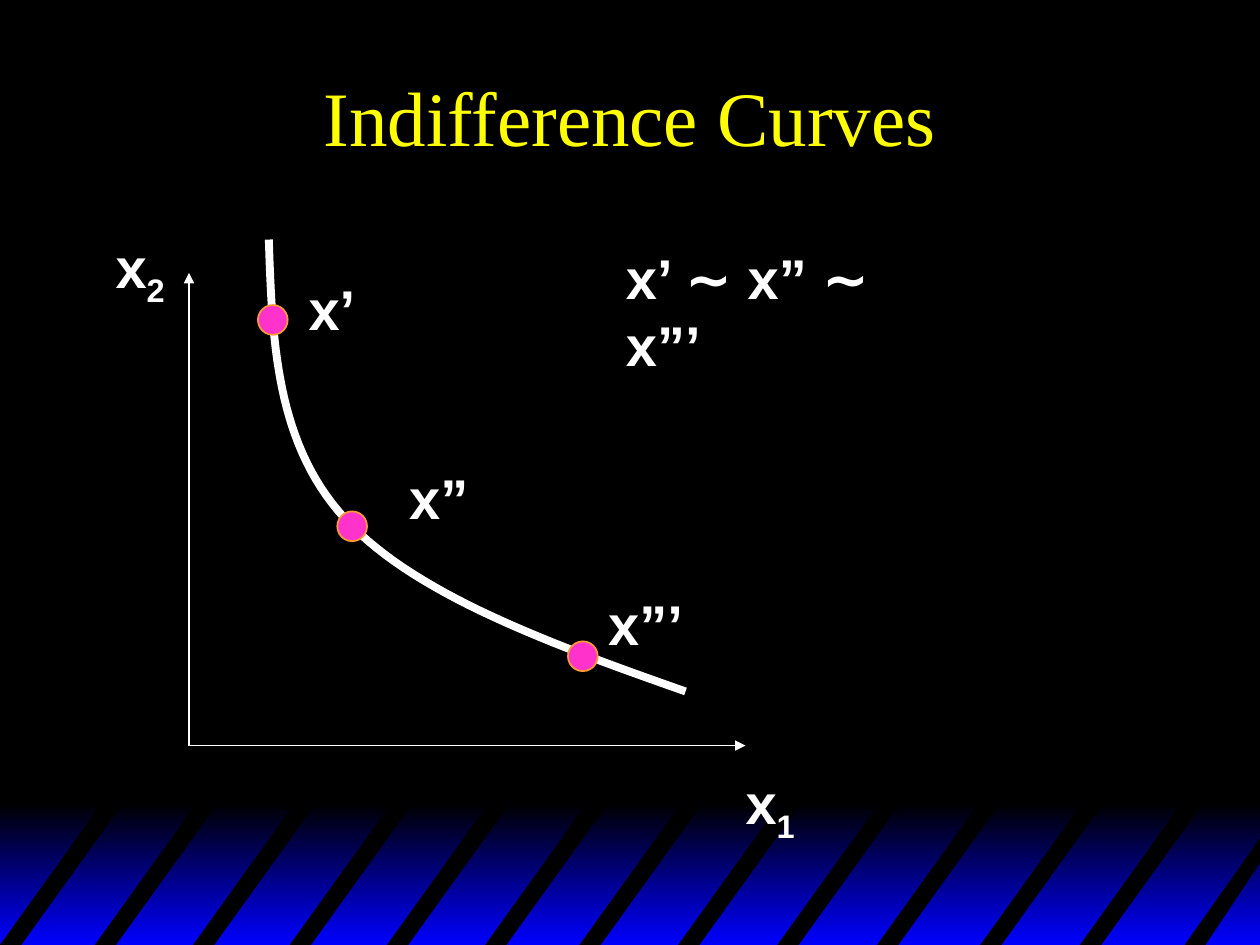
from pptx import Presentation
from pptx.dml.color import RGBColor
from pptx.enum.shapes import MSO_CONNECTOR, MSO_SHAPE
from pptx.enum.text import MSO_ANCHOR, PP_ALIGN
from pptx.oxml.ns import qn
from pptx.util import Cm, Pt
from lxml import etree

STRAIGHT = MSO_CONNECTOR.STRAIGHT
RECTANGLE, OVAL = MSO_SHAPE.RECTANGLE, MSO_SHAPE.OVAL
MIDDLE, TOP = MSO_ANCHOR.MIDDLE, MSO_ANCHOR.TOP
CENTER, LEFT = PP_ALIGN.CENTER, PP_ALIGN.LEFT

COLORS = {
    "black": "000000",
    "blue": "0000FF",
    "white": "FFFFFF",
    "title": "FFFF00",
    "dot": "FF33CC",
    "dot_edge": "FF9933",
}
WIDTH, HEIGHT = 25.4, 19.05


def color(name):
    return RGBColor.from_string(COLORS[name])


def bezier(start, control_1, control_2, end, steps=30):
    """Points along a cubic curve, without its start."""
    points = []
    for step in range(1, steps + 1):
        t = step / steps
        weights = ((1 - t) ** 3, 3 * t * (1 - t) ** 2, 3 * t * t * (1 - t), t ** 3)
        corners = (start, control_1, control_2, end)
        points.append(tuple(sum(w * c[axis] for w, c in zip(weights, corners))
                            for axis in (0, 1)))
    return points


class Diagram:
    """Draws on one slide; all lengths are in centimetres."""

    def __init__(self, slide):
        self.slide = slide
        self.shapes = slide.shapes
        slide.background.fill.solid()
        slide.background.fill.fore_color.rgb = color("black")

    def gradient_band(self, left, top, width, height, colors):
        shape = self.shapes.add_shape(RECTANGLE, Cm(left), Cm(top), Cm(width), Cm(height))
        shape.shadow.inherit = False
        shape.line.fill.background()
        shape.fill.gradient()
        shape.fill.gradient_angle = 270
        for stop, name in zip(shape.fill.gradient_stops, colors):
            stop.color.rgb = color(name)

    def outline(self, points, closed):
        points = [(Cm(x), Cm(y)) for x, y in points]
        builder = self.shapes.build_freeform(*points[0])
        builder.add_line_segments(points[1:], close=closed)
        shape = builder.convert_to_shape()
        shape.shadow.inherit = False
        return shape

    def stripe(self, points):
        shape = self.outline(points, True)
        shape.fill.solid()
        shape.fill.fore_color.rgb = color("black")
        shape.line.fill.background()

    def curve(self, points):
        shape = self.outline(points, False)
        shape.fill.background()
        shape.line.color.rgb = color("white")
        shape.line.width = Pt(4.5)

    def arrow(self, start, end):
        connector = self.shapes.add_connector(
            STRAIGHT, Cm(start[0]), Cm(start[1]), Cm(end[0]), Cm(end[1]))
        connector.line.color.rgb = color("white")
        connector.line.width = Pt(1)
        etree.SubElement(connector.line._get_or_add_ln(), qn("a:tailEnd"), type="triangle")
        etree.SubElement(connector._element.spPr, qn("a:effectLst"))

    def dot(self, center_x, center_y, size=0.6):
        shape = self.shapes.add_shape(
            OVAL, Cm(center_x - size / 2), Cm(center_y - size / 2), Cm(size), Cm(size))
        shape.shadow.inherit = False
        shape.fill.solid()
        shape.fill.fore_color.rgb = color("dot")
        shape.line.color.rgb = color("dot_edge")
        shape.line.width = Pt(1)

    def text(self, left, top, width, height, words, subscript="", wrap=False, size=32,
             font="Arial", bold=True, fill="white", align=LEFT, anchor=TOP):
        box = self.shapes.add_textbox(Cm(left), Cm(top), Cm(width), Cm(height))
        frame = box.text_frame
        frame.word_wrap = wrap
        frame.vertical_anchor = anchor
        paragraph = frame.paragraphs[0]
        paragraph.alignment = align
        paragraph.font.name = font
        paragraph.font.size = Pt(size)
        paragraph.font.bold = bold
        paragraph.font.color.rgb = color(fill)
        paragraph.add_run().text = words
        if subscript:
            run = paragraph.add_run()
            run.text = subscript
            run._r.get_or_add_rPr().set("baseline", "-25000")


def main():
    presentation = Presentation()
    presentation.slide_width, presentation.slide_height = Cm(WIDTH), Cm(HEIGHT)
    diagram = Diagram(presentation.slides.add_slide(presentation.slide_layouts[6]))

    # Striped footer band; the last stripe is cut by the slide edge
    band_top, slant, thickness = 16.1, 2.12, 0.43
    diagram.gradient_band(0, 16.2, WIDTH, HEIGHT - 16.2, ("black", "blue"))
    for left in (0, 1.91, 3.89, 5.84, 7.8, 9.78, 11.68, 13.67, 15.67, 17.68, 19.76, 21.77):
        diagram.stripe([(left, HEIGHT), (left + slant, band_top),
                        (left + slant + thickness, band_top), (left + thickness, HEIGHT)])
    diagram.stripe([(23.88, HEIGHT), (WIDTH, 16.9), (WIDTH, 17.4), (24.3, HEIGHT)])

    # Title
    diagram.text(1.9, 0.64, 21.6, 3.38, "Indifference Curves", wrap=True, size=44,
                 font="Times New Roman", bold=False, fill="title",
                 align=CENTER, anchor=MIDDLE)

    # Axes and their names
    origin = (3.81, 15.03)
    diagram.arrow(origin, (3.81, 5.5))
    diagram.arrow(origin, (15.03, 15.03))
    diagram.text(2.08, 4.57, 1.5, 1.8, "x", subscript="2")
    diagram.text(14.78, 15.37, 1.5, 1.8, "x", subscript="1")

    # Indifference curve
    start, middle, end = (5.42, 4.83), (6.96, 10.46), (13.82, 13.94)
    diagram.curve([start]
                  + bezier(start, (5.49, 6.88), (5.56, 8.94), middle)
                  + bezier(middle, (8.36, 11.99), (11.1, 12.98), end))

    # Bundles on the curve
    for center, (left, top, width), name in (
            ((5.5, 6.45), (5.97, 5.41, 1.45), "x’"),
            ((7.1, 10.61), (8.0, 9.22, 1.7), "x”"),
            ((11.75, 13.23), (12.01, 11.76, 2.03), "x”’")):
        diagram.dot(*center)
        diagram.text(left, top, width, 1.6, name)

    # Statement of indifference
    diagram.text(12.37, 4.78, 7.21, 1.6, "x’ ∼ x” ∼ x”’", wrap=True)

    presentation.save("out.pptx")


if __name__ == "__main__":
    main()
